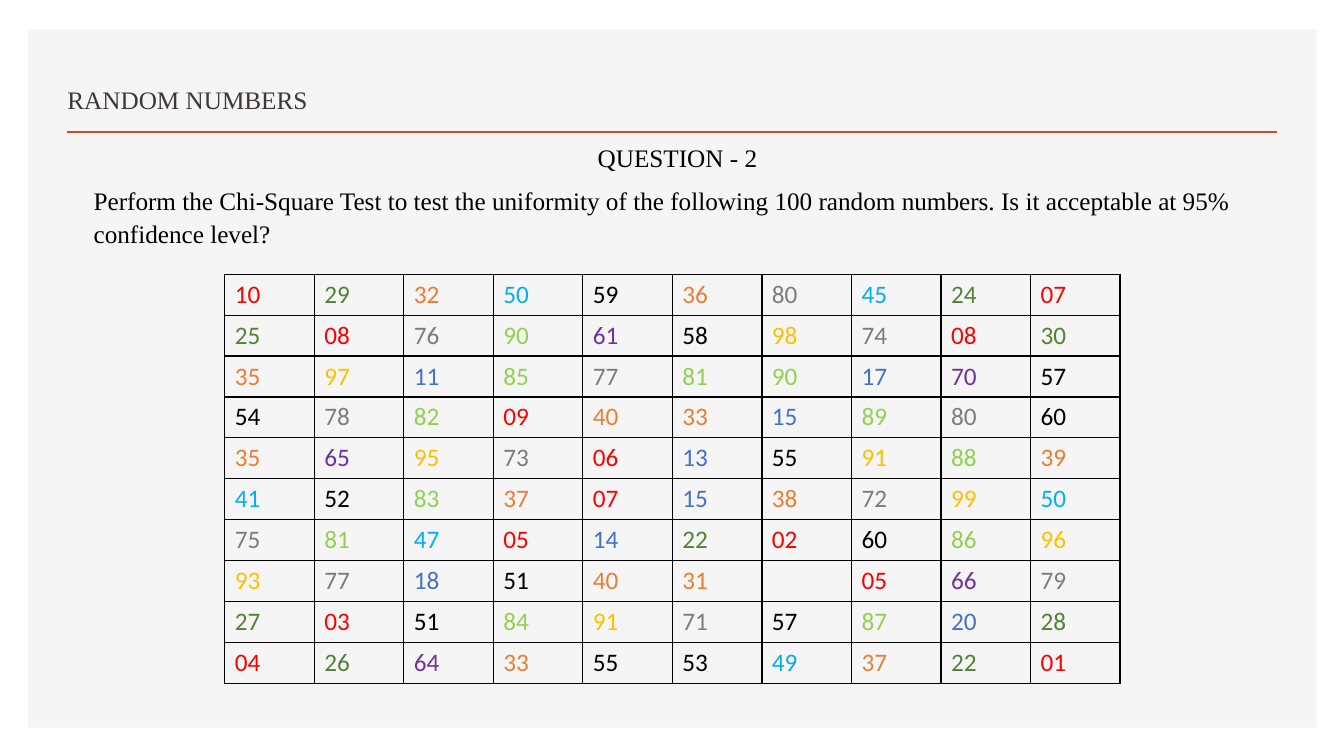
from lxml import etree
from pptx import Presentation
from pptx.dml.color import RGBColor
from pptx.enum import shapes, text
from pptx.oxml import ns
from pptx.util import Inches, Pt

TITLE = "RANDOM NUMBERS"
HEADING = "QUESTION - 2"
QUESTION = (
    "Perform the Chi-Square Test to test the uniformity of the following 100 "
    "random numbers. Is it acceptable at 95% confidence level?"
)
NUMBERS = [
    ["10", "29", "32", "50", "59", "36", "80", "45", "24", "07"],
    ["25", "08", "76", "90", "61", "58", "98", "74", "08", "30"],
    ["35", "97", "11", "85", "77", "81", "90", "17", "70", "57"],
    ["54", "78", "82", "09", "40", "33", "15", "89", "80", "60"],
    ["35", "65", "95", "73", "06", "13", "55", "91", "88", "39"],
    ["41", "52", "83", "37", "07", "15", "38", "72", "99", "50"],
    ["75", "81", "47", "05", "14", "22", "02", "60", "86", "96"],
    ["93", "77", "18", "51", "40", "31", "", "05", "66", "79"],
    ["27", "03", "51", "84", "91", "71", "57", "87", "20", "28"],
    ["04", "26", "64", "33", "55", "53", "49", "37", "22", "01"],
]

BLACK = RGBColor(0x00, 0x00, 0x00)
PANEL_GRAY = RGBColor(0xF5, 0xF5, 0xF5)
TITLE_GRAY = RGBColor(0x3B, 0x38, 0x38)
RULE_RED = RGBColor(0xD2, 0x47, 0x26)
CLASS_COLORS = [
    RGBColor(0xFF, 0x00, 0x00),
    RGBColor(0x44, 0x72, 0xC4),
    RGBColor(0x54, 0x82, 0x35),
    RGBColor(0xED, 0x7D, 0x31),
    RGBColor(0x00, 0xB0, 0xF0),
    BLACK,
    RGBColor(0x70, 0x30, 0xA0),
    RGBColor(0x7C, 0x7C, 0x7C),
    RGBColor(0x92, 0xD0, 0x50),
    RGBColor(0xFF, 0xC0, 0x00),
]
SERIF = "Times New Roman"
SANS = "Calibri"
TABLE_WIDTH, TABLE_HEIGHT = 8.88, 4.06


def style(para, font_name, color):
    para.font.name = font_name
    para.font.size = Pt(18)
    para.font.color.rgb = color


def add_text(page, place, lines, color, line_spacing):
    box = page.shapes.add_textbox(*map(Inches, place))
    frame = box.text_frame
    frame.word_wrap = True
    frame.text = "\n".join(lines)
    for para in frame.paragraphs:
        style(para, SERIF, color)
        para.line_spacing = line_spacing
    return frame


def add_borders(cell):
    properties = cell._tc.get_or_add_tcPr()
    for index, side in enumerate(("lnL", "lnR", "lnT", "lnB")):
        line = etree.Element(ns.qn(f"a:{side}"), w=str(Pt(1)))
        fill = etree.SubElement(line, ns.qn("a:solidFill"))
        etree.SubElement(fill, ns.qn("a:srgbClr"), val=str(BLACK))
        properties.insert(index, line)


def add_number_table(page):
    rows, columns = len(NUMBERS), len(NUMBERS[0])
    table = page.shapes.add_table(
        rows, columns, Inches(2.23), Inches(2.72),
        Inches(TABLE_WIDTH), Inches(TABLE_HEIGHT),
    ).table
    table.first_row = False
    table.horz_banding = False
    for column in table.columns:
        column.width = Inches(TABLE_WIDTH / columns)
    for row, numbers in zip(table.rows, NUMBERS):
        row.height = Inches(TABLE_HEIGHT / rows)
        for cell, number in zip(row.cells, numbers):
            cell.fill.background()
            add_borders(cell)
            cell.text = number
            color = CLASS_COLORS[(int(number) - 1) // 10] if number else BLACK
            style(cell.text_frame.paragraphs[0], SANS, color)


def main():
    deck = Presentation()
    deck.slide_width, deck.slide_height = Inches(13.33), Inches(7.5)
    page = deck.slides.add_slide(deck.slide_layouts[6])

    panel = page.shapes.add_shape(
        shapes.MSO_SHAPE.RECTANGLE, *map(Inches, (0.28, 0.29, 12.78, 6.93))
    )
    panel.shadow.inherit = False
    panel.fill.solid()
    panel.fill.fore_color.rgb = PANEL_GRAY
    panel.line.fill.background()

    rule = page.shapes.add_connector(
        shapes.MSO_CONNECTOR.STRAIGHT, *map(Inches, (0.66, 1.31, 12.67, 1.31))
    )
    rule.line.color.rgb = RULE_RED
    rule.line.width = Pt(2)
    etree.SubElement(rule._element.spPr, ns.qn("a:effectLst"))

    title = add_text(page, (0.57, 0.49, 7.52, 0.7), [TITLE], TITLE_GRAY, 0.9)
    title.vertical_anchor = text.MSO_ANCHOR.BOTTOM

    question = add_text(
        page, (0.83, 1.34, 11.78, 1.16), [HEADING, QUESTION], BLACK, 1.07
    )
    question.paragraphs[0].alignment = text.PP_ALIGN.CENTER
    for para in question.paragraphs:
        para.space_after = Pt(8)

    add_number_table(page)
    deck.save("out.pptx")


if __name__ == "__main__":
    main()
